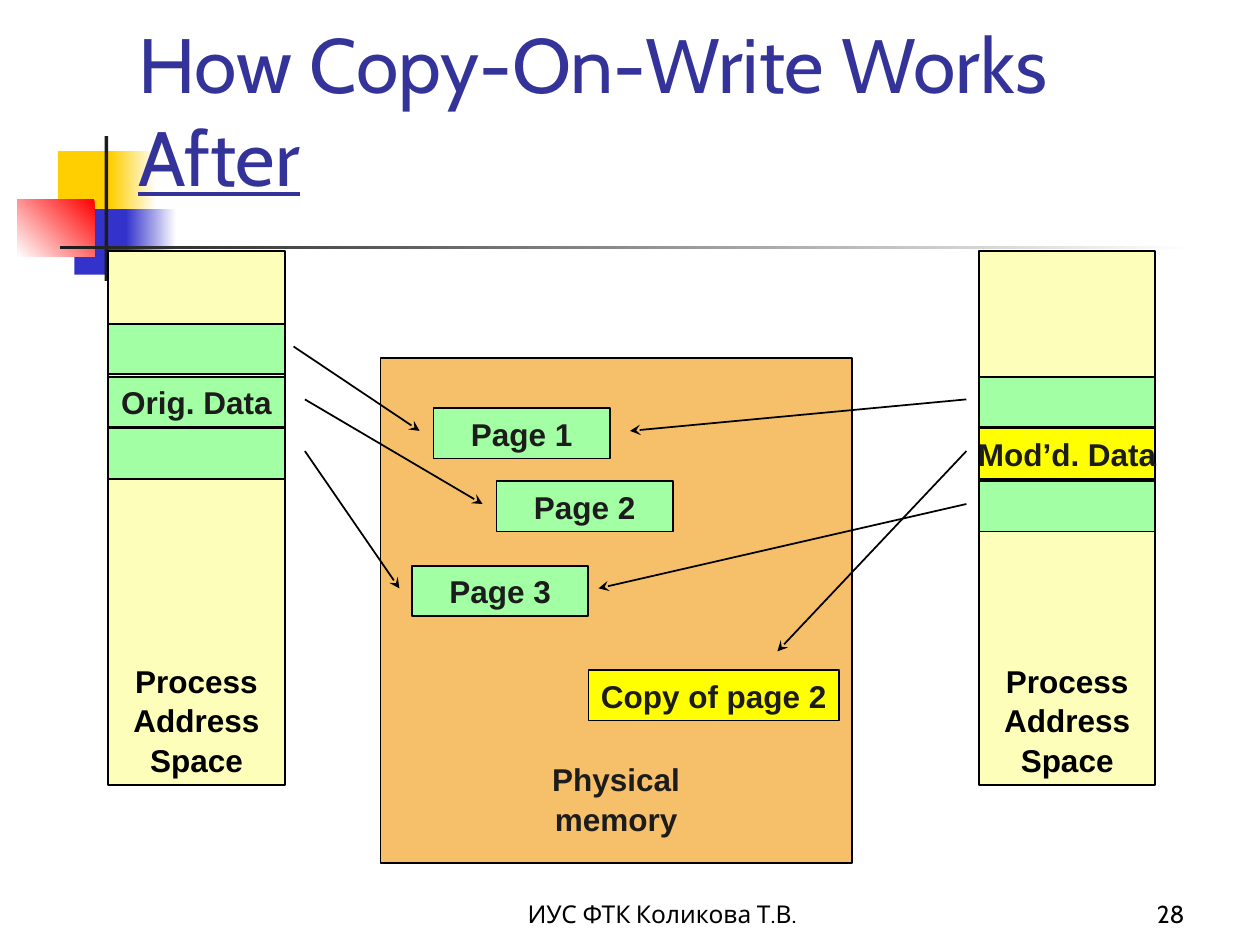
from lxml.etree import SubElement
from pptx import Presentation
from pptx.dml.color import RGBColor
from pptx.enum.shapes import MSO_CONNECTOR, MSO_SHAPE
from pptx.enum.text import MSO_ANCHOR as ANCHOR, PP_ALIGN as ALIGN
from pptx.oxml.ns import qn
from pptx.util import Inches, Pt

COLORS = {
    "gold": "FFCF01", "blue": "3333CC", "red": "FF0000", "white": "FFFFFF",
    "ink": "1C1C1C", "black": "000000", "title": "333399", "space": "FCFEB9",
    "memory": "F6BF69", "shared": "A2FFA3", "changed": "FFFF00",
}
PAGE_W, PAGE_H = 1.4, 0.4
SPACE_TOP, SPACE_H = 1.99, 4.24
ROW_TOPS = [2.57, 2.99, 3.4, 3.82]
LABEL = {"size": Pt(18), "name": "Arial", "bold": True}
TITLE = {"size": Pt(44), "name": "Cabin"}
FOOTER = {"size": Pt(14), "name": "Cabin"}


def rgb(name):
    return RGBColor.from_string(COLORS[name])


def style_font(font, values, color):
    for name, value in values.items():
        setattr(font, name, value)
    font.color.rgb = rgb(color)


def add_rect(page, box, fill=None, line=None):
    shape = page.shapes.add_shape(MSO_SHAPE.RECTANGLE, *map(Inches, box))
    shape.shadow.inherit = False
    if fill:
        shape.fill.solid()
        shape.fill.fore_color.rgb = rgb(fill)
    if line:
        shape.line.color.rgb = rgb(line)
        shape.line.width = Pt(1)
    else:
        shape.line.fill.background()
    return shape


def add_fade(page, box, start, end, angle):
    """Rectangle with a two-colour gradient; the angle is counter-clockwise."""
    fill = add_rect(page, box).fill
    fill.gradient()
    fill.gradient_angle = angle
    for stop, color, position in zip(fill.gradient_stops, (start, end), (0, 1)):
        stop.color.rgb = rgb(color)
        stop.position = position


def add_block(page, box, fill, lines=(), color="ink", anchor=ANCHOR.MIDDLE, bottom=0.05):
    """Outlined rectangle with optional centred label lines."""
    frame = add_rect(page, box, fill, "black").text_frame
    frame.word_wrap = False
    frame.vertical_anchor = anchor
    frame.margin_bottom = Inches(bottom)
    for index, text in enumerate(lines):
        para = frame.add_paragraph() if index else frame.paragraphs[0]
        para.alignment = ALIGN.CENTER
        para.line_spacing = 1.05 if len(lines) > 1 else 1.0
        span = para.add_run()
        span.text = text
        style_font(span.font, LABEL, color)


def add_arrow(page, start, end):
    arrow = page.shapes.add_connector(
        MSO_CONNECTOR.STRAIGHT, *map(Inches, (*start, *end)))
    arrow.line.color.rgb = rgb("black")
    arrow.line.width = Pt(1)
    SubElement(arrow.line._get_or_add_ln(), qn("a:tailEnd"), type="stealth")
    SubElement(arrow._element.spPr, qn("a:effectLst"))


def add_text(page, box, text, style, color, align, anchor):
    frame = page.shapes.add_textbox(*map(Inches, box)).text_frame
    frame.word_wrap = True
    frame.vertical_anchor = anchor
    para = frame.paragraphs[0]
    para.alignment = align
    span = para.add_run()
    span.text = text
    style_font(span.font, style, color)
    return para


def add_ornament(page):
    add_rect(page, (0.46, 1.2, 0.48, 0.52), "gold")
    add_fade(page, (0.88, 1.2, 0.36, 0.52), "white", "gold", 180)
    add_rect(page, (0.59, 1.66, 0.46, 0.52), "blue")
    add_fade(page, (1, 1.66, 0.4, 0.52), "white", "blue", 180)
    add_fade(page, (0.14, 1.58, 0.61, 0.46), "red", "white", 225)
    add_rect(page, (0.83, 1.08, 0.03, 1.15), "ink")
    add_fade(page, (0.48, 1.95, 9, 0.03), "white", "ink", 180)


def add_title(page, box):
    para = add_text(page, box, "How Copy-On-Write Works", TITLE, "title",
                    ALIGN.LEFT, ANCHOR.MIDDLE)
    para.add_line_break()
    span = para.add_run()
    span.text = "After"
    style_font(span.font, {**TITLE, "underline": True}, "title")


def add_address_space(page, box, rows):
    """Process column; rows are (top, fill, label lines)."""
    left, _, width, _ = box
    add_block(page, box, "space", ("Process", "Address", "Space"), "black", ANCHOR.BOTTOM)
    for top, fill, lines in rows:
        add_block(page, (left, top, width, PAGE_H), fill, lines)


def add_physical_memory(page, box):
    left, top, _, _ = box
    add_block(page, box, "memory", ("Physical", "memory"),
              anchor=ANCHOR.BOTTOM, bottom=0.2)
    for dx, dy, width, fill, text in (
        (0.42, 0.4, PAGE_W, "shared", "Page 1"),
        (0.92, 0.98, PAGE_W, "shared", "Page 2"),
        (0.25, 1.65, PAGE_W, "shared", "Page 3"),
        (1.65, 2.48, 1.99, "changed", "Copy of page 2"),
    ):
        add_block(page, (left + dx, top + dy, width, PAGE_H), fill, (text,))


def add_mappings(page):
    for start, end in (
        ((2.33, 2.75), (3.33, 3.42)),
        ((2.42, 3.17), (3.83, 4)),
        ((2.42, 3.58), (3.17, 4.67)),
        ((7.67, 3.17), (5, 3.42)),
        ((7.67, 3.58), (6.17, 5.17)),
        ((7.67, 4), (4.75, 4.67)),
    ):
        add_arrow(page, start, end)


def add_footer(page, top, height):
    for left, width, text, align in (
        (3.67, 3.17, "ИУС ФТК Коликова Т.В.", ALIGN.CENTER),
        (7.42, 2.08, "28", ALIGN.RIGHT),
    ):
        add_text(page, (left, top, width, height), text, FOOTER, "black",
                 align, ANCHOR.BOTTOM)


def main():
    deck = Presentation()
    deck.slide_width, deck.slide_height = Inches(10), Inches(7.5)
    page = deck.slides.add_slide(deck.slide_layouts[6])
    add_ornament(page)
    add_title(page, (1, 0.24, 9, 1.25))
    add_physical_memory(page, (3.02, 2.84, 3.74, 4.01))
    before = zip(ROW_TOPS[:3], ["shared"] * 3, [(), ("Orig. Data",), ()])
    after = zip(ROW_TOPS[1:], ["shared", "changed", "shared"], [(), ("Mod’d. Data",), ()])
    for left, rows in ((0.86, before), (7.77, after)):
        add_address_space(page, (left, SPACE_TOP, PAGE_W, SPACE_H), rows)
    add_mappings(page)
    add_footer(page, 6.92, 0.5)
    deck.save("out.pptx")


if __name__ == "__main__":
    main()
